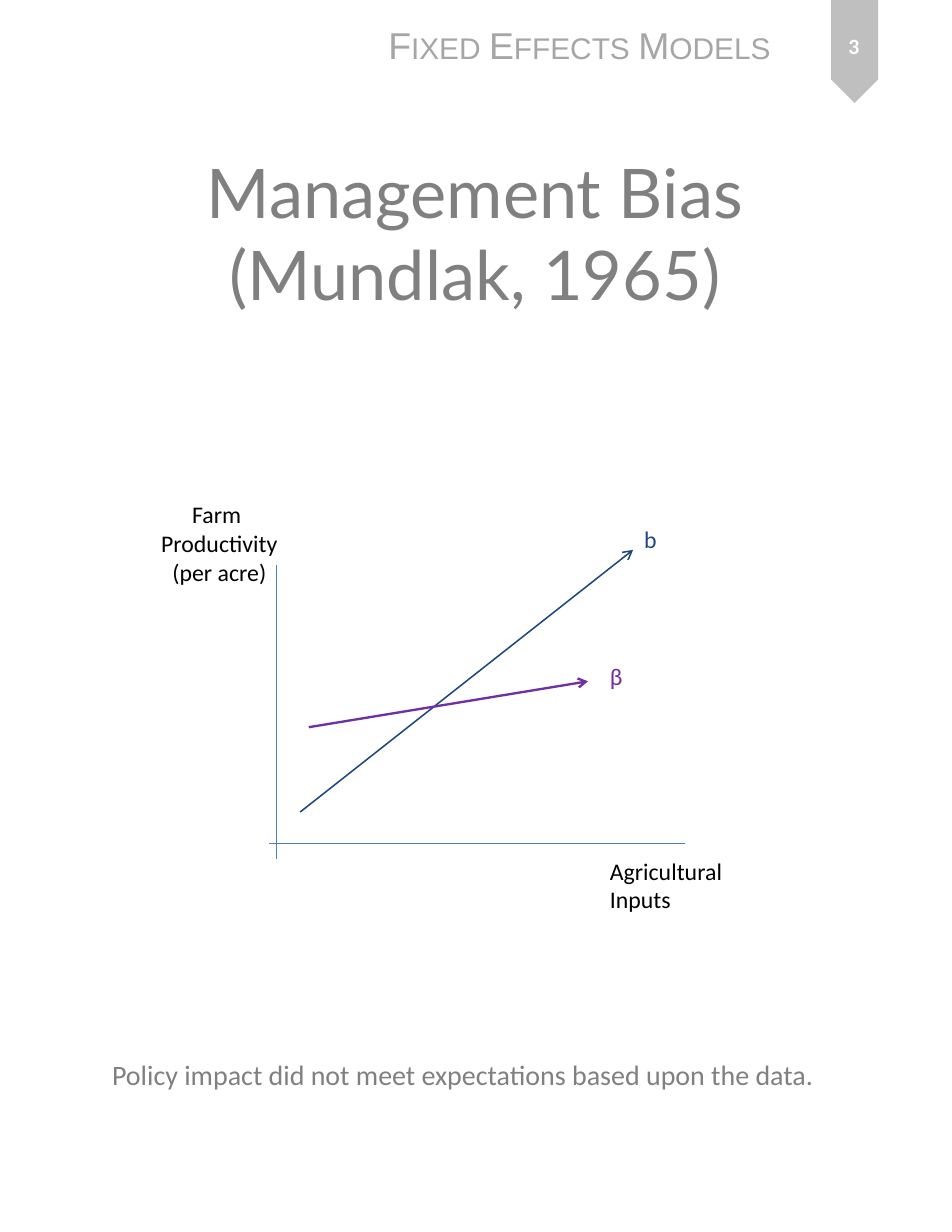
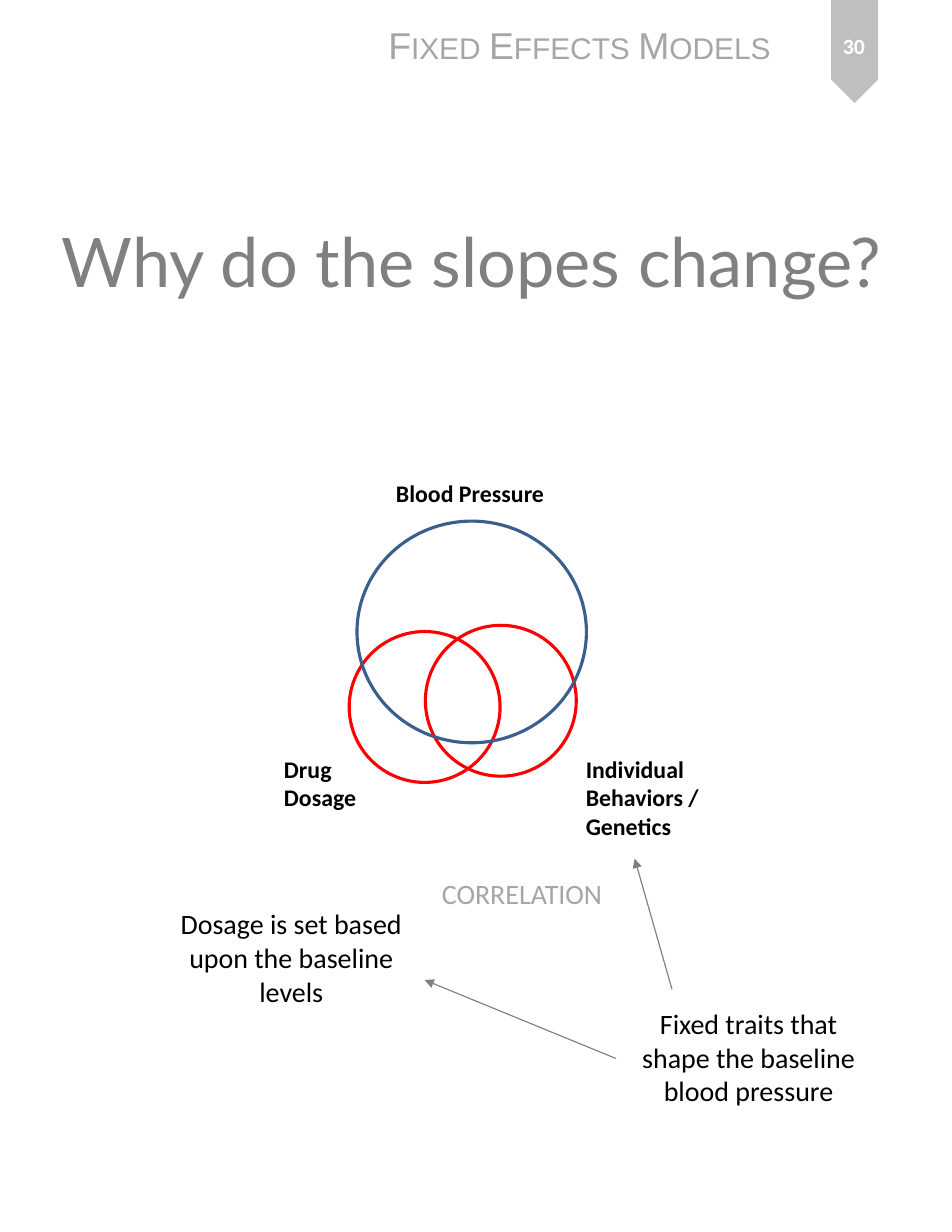
import pptx
import pptx.util
import pptx.dml.color
import pptx.enum.shapes
import pptx.enum.text
import pptx.oxml
import pptx.oxml.ns

Pt = pptx.util.Pt
SHAPE = pptx.enum.shapes.MSO_SHAPE
ALIGN = pptx.enum.text.PP_ALIGN
ANCHOR = pptx.enum.text.MSO_ANCHOR
AUTO = pptx.enum.text.MSO_AUTO_SIZE

# Shared look
WHITE, BLACK, GREY, PALE, RIBBON = "FFFFFF", "000000", "808080", "A6A6A6", "BFBFBF"
AXIS, NAVY, PURPLE, RED, BLUE = "4B7EBC", "1F497D", "7030A0", "FF0000", "3A5F8C"
LABEL, BODY = 15.3, 18
TITLE_SIZE = (550.8, 132)
HEADER = "Fixed Effects Models"

# Content: lines are (from, to, colour, width, arrowhead),
# circles are (box, colour), texts are (words, box, options)
SLIDES = [
    dict(
        number="3", title="Management Bias (Mundlak, 1965)", title_at=(30, 83),
        circles=[],
        lines=[
            ((178, 363.5), (178, 552), AXIS, 0.75, None),
            ((440.5, 542), (173, 542), AXIS, 0.75, None),
            ((193, 522), (407, 353.5), NAVY, 1, "arrow"),
            ((198.5, 467.5), (378, 438), PURPLE, 1.5, "arrow"),
        ],
        texts=[
            ("Agricultural \nInputs", (385, 547, 91, 44.5), {}),
            ("Farm \nProductivity\n(per acre)", (96, 318, 90, 62.5),
             dict(align=ALIGN.CENTER)),
            ("b", (407, 334, 22, 26), dict(color=NAVY)),
            ("β", (385, 422, 23, 26), dict(color=PURPLE)),
            ("Policy impact did not meet expectations based upon the data.",
             (65, 676, 471, 29), dict(size=BODY, color=GREY)),
        ],
    ),
    dict(
        number="30", title="Why do the slopes change?", title_at=(28, 101.5),
        circles=[
            ((224.5, 406, 97, 97), RED),
            ((273.5, 402, 97, 97), RED),
            ((229.5, 335, 147.5, 142.5), BLUE),
        ],
        lines=[
            ((432, 636), (408, 552), GREY, 0.75, "triangle"),
            ((396, 680.5), (273, 630), GREY, 0.75, "triangle"),
        ],
        texts=[
            ("Blood Pressure", (247.5, 304, 111, 26), dict(bold=True)),
            ("Individual Behaviors / Genetics", (369.5, 481.5, 127.5, 62.5),
             dict(bold=True, wrap=True)),
            ("Drug\nDosage", (175.5, 481.5, 61, 44.5), dict(bold=True)),
            ("Fixed traits that shape the baseline blood pressure",
             (396, 643.5, 170.5, 72.5),
             dict(size=BODY, align=ALIGN.CENTER, wrap=True)),
            ("Dosage is set based upon the baseline levels",
             (102, 579.5, 170.5, 72.5),
             dict(size=BODY, align=ALIGN.CENTER, wrap=True)),
            ("CORRELATION", (277, 560, 119, 29), dict(size=BODY, color=PALE)),
        ],
    ),
]


def rgb(color):
    return pptx.dml.color.RGBColor.from_string(color)


def points(values):
    return [Pt(v) for v in values]


def format_text(p, font, size, color, bold=False, align=ALIGN.LEFT):
    p.alignment = align
    p.font.name = font
    p.font.size = Pt(size)
    p.font.bold = bold
    p.font.color.rgb = rgb(color)


def add_text(s, words, box, size=LABEL, color=BLACK, bold=False,
             align=ALIGN.LEFT, wrap=False, font="Calibri", fit=True):
    tf = s.shapes.add_textbox(*points(box)).text_frame
    tf.word_wrap = wrap
    tf.auto_size = AUTO.SHAPE_TO_FIT_TEXT if fit else AUTO.NONE
    p = tf.paragraphs[0]
    p.text = words
    format_text(p, font, size, color, bold, align)
    return tf


def add_line(s, start, end, color, width, head):
    cx = s.shapes.add_connector(pptx.enum.shapes.MSO_CONNECTOR.STRAIGHT,
                                *points(start + end))
    cx.line.color.rgb = rgb(color)
    cx.line.width = Pt(width)
    if head:
        tail = pptx.oxml.parse_xml(
            f'<a:tailEnd {pptx.oxml.ns.nsdecls("a")} type="{head}"/>')
        cx.line._get_or_add_ln().append(tail)
    cx._element.spPr.append(pptx.oxml.parse_xml(
        f'<a:effectLst {pptx.oxml.ns.nsdecls("a")}/>'))


def add_circle(s, box, color):
    sp = s.shapes.add_shape(SHAPE.OVAL, *points(box))
    sp.shadow.inherit = False
    sp.fill.background()
    sp.line.color.rgb = rgb(color)
    sp.line.width = Pt(2)


def add_header(s, number):
    # Ribbon pointing down from the top edge
    sp = s.shapes.add_shape(SHAPE.PENTAGON, *points((516.25, 18, 66.25, 30.25)))
    sp.rotation = 90
    sp.shadow.inherit = False
    sp.fill.solid()
    sp.fill.fore_color.rgb = rgb(RIBBON)
    sp.line.fill.background()
    # Running head in small capitals
    tf = add_text(s, HEADER, (242.5, 11, 265, 36), 24, PALE, font="Arial")
    tf.paragraphs[0].runs[0]._r.get_or_add_rPr().set("cap", "small")
    # Page number on the ribbon
    tf = add_text(s, number, (525, 8, 48, 42.5), 14, WHITE, True,
                  ALIGN.CENTER, wrap=True, fit=False)
    tf.vertical_anchor = ANCHOR.MIDDLE


def set_title(s, words, at):
    sp = s.shapes.title
    sp.left, sp.top, sp.width, sp.height = points(at + TITLE_SIZE)
    tf = sp.text_frame
    tf.text = words
    tf.word_wrap = True
    tf.auto_size = AUTO.NONE
    tf.vertical_anchor = ANCHOR.MIDDLE
    format_text(tf.paragraphs[0], "Lato", 44, GREY, align=ALIGN.CENTER)


def main():
    prs = pptx.Presentation()
    prs.slide_width, prs.slide_height = Pt(612), Pt(792)
    for page in SLIDES:
        s = prs.slides.add_slide(prs.slide_layouts[5])
        add_header(s, page["number"])
        set_title(s, page["title"], page["title_at"])
        for circle in page["circles"]:
            add_circle(s, *circle)
        for line in page["lines"]:
            add_line(s, *line)
        for words, box, options in page["texts"]:
            add_text(s, words, box, **options)
    prs.save("out.pptx")


if __name__ == "__main__":
    main()
